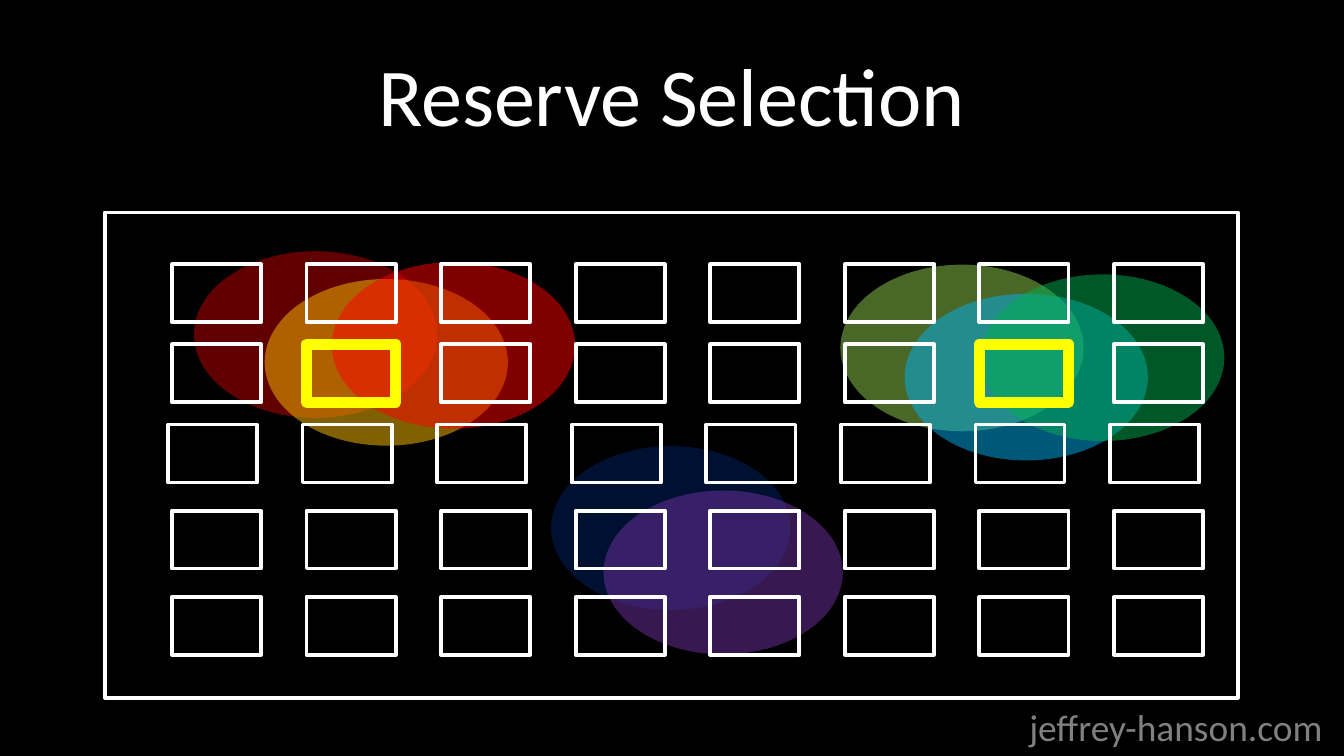
"""Build the reserve selection slide: species ranges under a grid of planning units."""
from lxml.etree import SubElement
from pptx import Presentation
from pptx.dml.color import RGBColor
from pptx.enum.shapes import MSO_SHAPE
from pptx.enum.text import MSO_ANCHOR, PP_ALIGN
from pptx.oxml.ns import qn
from pptx.util import Pt

COLOURS = {
    "background": "000000", "white": "FFFFFF", "selected": "FFFF00", "grey": "808080",
    "navy": "002060", "purple": "7030A0", "crimson": "C00000", "amber": "FFC000",
    "red": "FF0000", "lime": "92D050", "sky": "00B0F0", "green": "00B050",
}
TEXTS = [
    ("Reserve Selection", (36, 16.6, 648, 67.7), True,
     {"size": Pt(44), "name": "Calibri"}, "white", PP_ALIGN.CENTER, MSO_ANCHOR.MIDDLE),
    ("jeffrey-hanson.com", (544.3, 373.7, 173.5, 31.7), False,
     {"size": Pt(20), "name": "Calibri"}, "grey", PP_ALIGN.LEFT, MSO_ANCHOR.TOP),
]
STUDY_AREA = (56.2, 113.8, 607, 260)
SOUTH_SIZE, NORTH_SIZE = (128.2, 87.8), (130.3, 89.3)
RANGES = [
    ("navy", 295.2, 239, SOUTH_SIZE),
    ("purple", 323.3, 262.8, SOUTH_SIZE),
    ("crimson", 103.9, 134.6, NORTH_SIZE),
    ("amber", 141.8, 149.5, NORTH_SIZE),
    ("red", 177.8, 140.4, NORTH_SIZE),
    ("lime", 450.2, 141.8, NORTH_SIZE),
    ("sky", 484.6, 157.4, NORTH_SIZE),
    ("green", 525.6, 147, NORTH_SIZE),
]
ROWS = [(92.1, 141.6), (92.1, 184.5), (90, 227.5), (92.1, 273.6), (92.1, 319.8)]
COLUMNS, PITCH = 8, 72.1
UNIT_SIZE = (47.8, 31)
SELECTED = {(1, 1), (1, 6)}


def colour(name):
    return RGBColor.from_string(COLOURS[name])


def add_outline(page, bounds, line_colour="white", width=2):
    shape = page.shapes.add_shape(MSO_SHAPE.RECTANGLE, *map(Pt, bounds))
    shape.shadow.inherit = False
    shape.fill.background()
    shape.line.color.rgb = colour(line_colour)
    shape.line.width = Pt(width)


def add_range(page, name, left, top, size):
    shape = page.shapes.add_shape(MSO_SHAPE.OVAL, *map(Pt, (left, top, *size)))
    shape.shadow.inherit = False
    shape.line.fill.background()
    shape.fill.solid()
    shape.fill.fore_color.rgb = colour(name)
    solid = shape.fill._xPr.find(qn("a:solidFill"))
    SubElement(solid[0], qn("a:alpha"), val="50000")


def add_text(page, text, bounds, wrap, font, font_colour, alignment, anchor):
    box = page.shapes.add_textbox(*map(Pt, bounds))
    box.text_frame.word_wrap = wrap
    box.text_frame.vertical_anchor = anchor
    paragraph = box.text_frame.paragraphs[0]
    paragraph.alignment = alignment
    span = paragraph.add_run()
    span.text = text
    for attribute, value in font.items():
        setattr(span.font, attribute, value)
    span.font.color.rgb = colour(font_colour)


def main():
    deck = Presentation()
    deck.slide_width, deck.slide_height = Pt(720), Pt(405)
    page = deck.slides.add_slide(deck.slide_layouts[6])
    page.background.fill.solid()
    page.background.fill.fore_color.rgb = colour("background")

    add_outline(page, STUDY_AREA)
    for species in RANGES:
        add_range(page, *species)
    for row, (left, top) in enumerate(ROWS):
        for column in range(COLUMNS):
            style = ("selected", 6) if (row, column) in SELECTED else ("white", 2)
            add_outline(page, (left + column * PITCH, top, *UNIT_SIZE), *style)
    for text in TEXTS:
        add_text(page, *text)
    deck.save("out.pptx")


if __name__ == "__main__":
    main()
